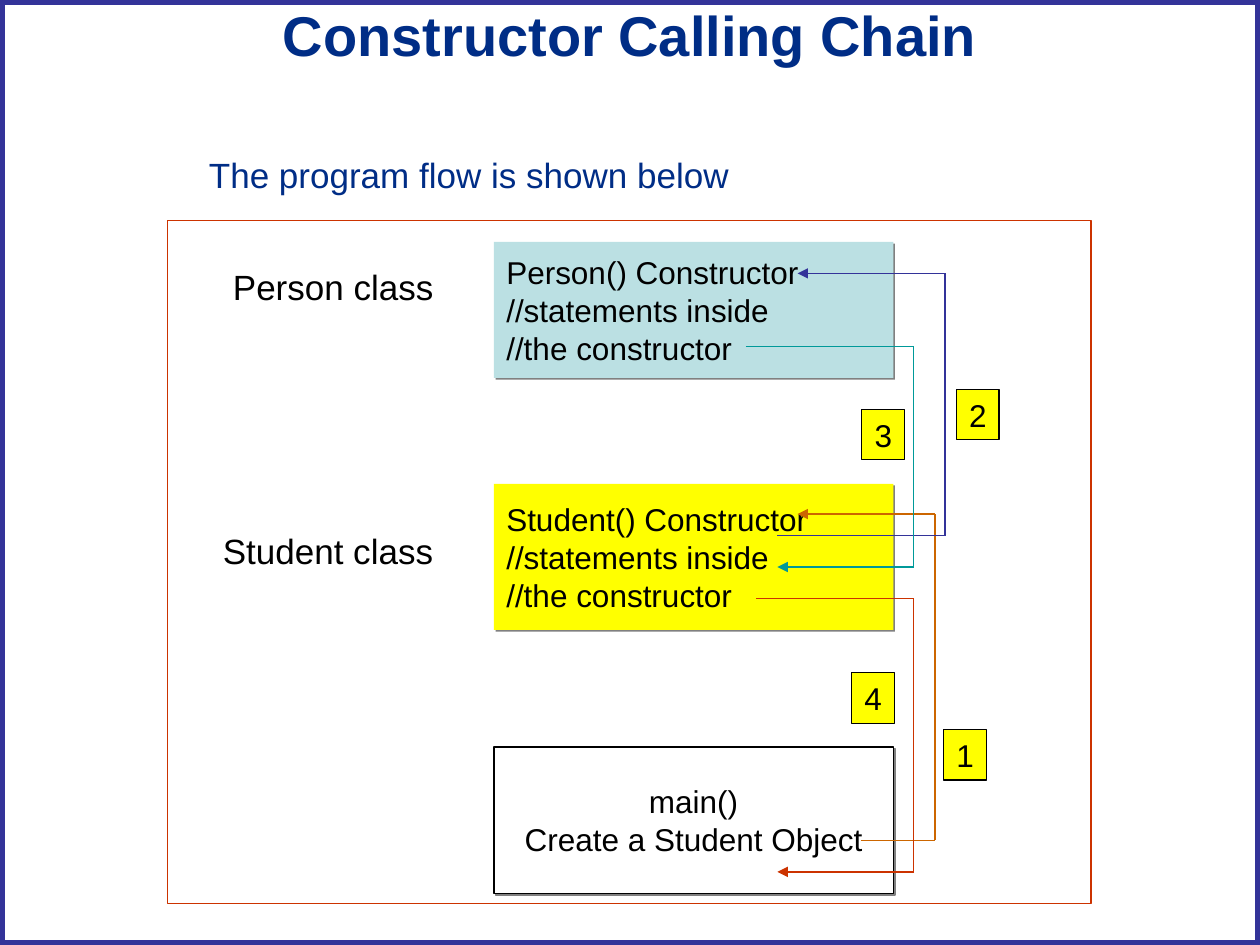
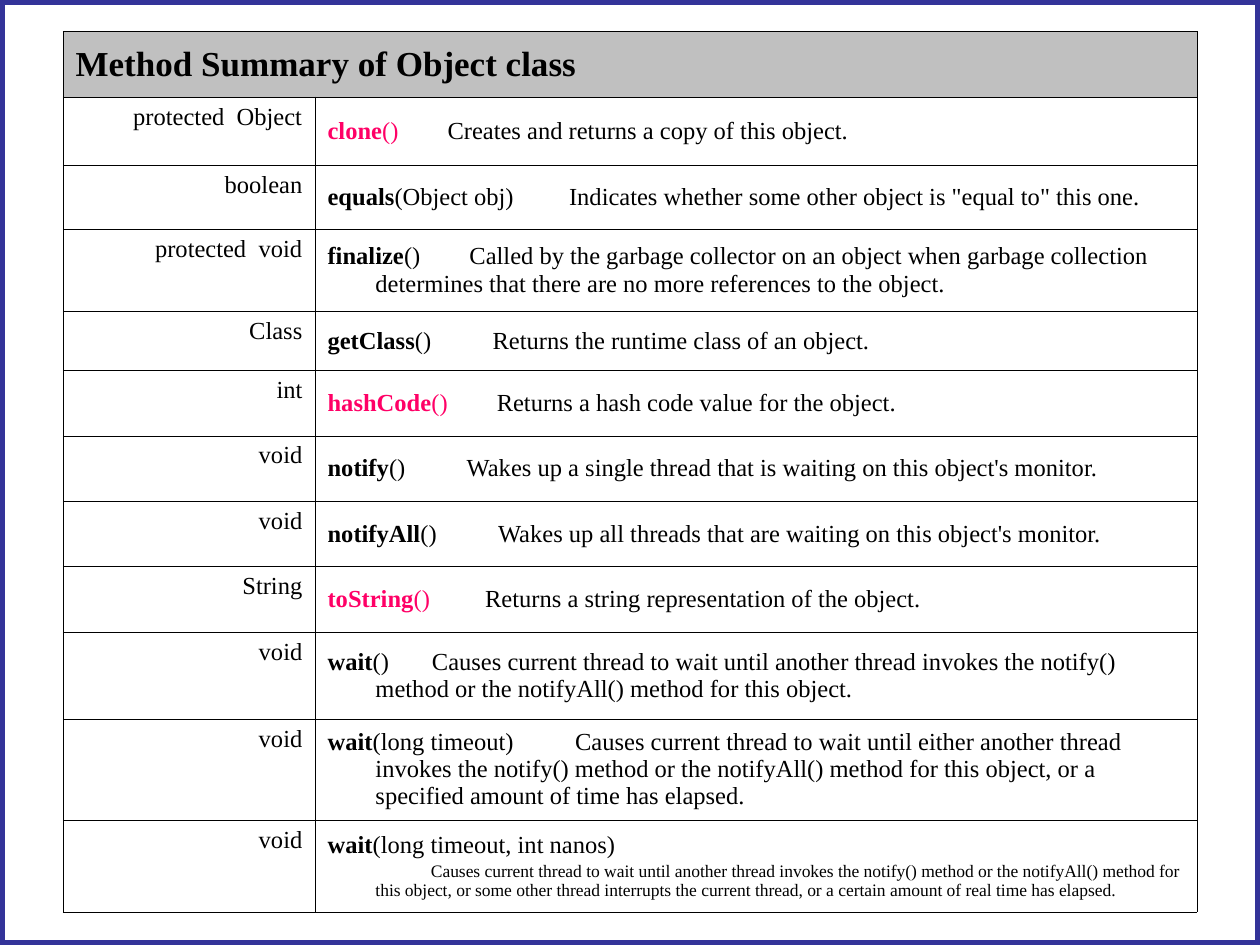
"""Builds two slides on the constructor calling chain and the Object methods."""
from lxml import etree
from pptx import Presentation
from pptx import util as u
from pptx.dml.color import RGBColor
from pptx.enum import shapes, text
from pptx.oxml import ns

Inches, Pt = u.Inches, u.Pt
COLORS = {"navy": "002D86", "frame": "333399", "white": "FFFFFF", "black": "000000",
          "red": "CC3300", "orange": "CC6600", "teal": "009999", "blue": "BBE0E3",
          "yellow": "FFFF00", "gray": "808080", "header": "C0C0C0", "pink": "FF0066"}
SANS, SERIF = "Arial", "Times New Roman"
LEFT, CENTER, RIGHT = text.PP_ALIGN.LEFT, text.PP_ALIGN.CENTER, text.PP_ALIGN.RIGHT
TOP, MIDDLE = text.MSO_ANCHOR.TOP, text.MSO_ANCHOR.MIDDLE

TITLE = "Constructor Calling Chain"
INTRO = "The program flow is shown below"
BODY = "//statements inside\n//the constructor"
BLOCKS = [(1.92, 1.08, "blue", None, LEFT, f"Person() Constructor\n{BODY}"),
          (3.84, 1.16, "yellow", None, LEFT, f"Student() Constructor\n{BODY}"),
          (5.93, 1.16, "white", "black", CENTER, "main()\nCreate a Student Object")]
LABELS = [(1.75, 2.06, 1.79, "Person class"), (1.67, 4.15, 1.87, "Student class")]
# start, turning x, end, colour
CALLS = [((6.83, 6.67), 7.42, (6.33, 4.08), "orange"),
         ((6.17, 4.25), 7.5, (6.33, 2.17), "frame"),
         ((5.92, 2.75), 7.25, (6.17, 4.5), "teal"),
         ((6, 4.75), 7.25, (6.17, 6.92), "red")]
STEPS = [(7.49, 5.79), (7.59, 3.09), (6.84, 3.25), (6.76, 5.34)]

HEADER = (0.52, "Method Summary of Object class")
SPACE = 3.5
# row height, return type, name, arguments, gap in points, description
METHODS = [
    (0.54, "protected  Object", "clone", "()", 28, "Creates and returns a copy of this object."),
    (0.51, "boolean", "equals", "(Object obj)", 31.5,
     "Indicates whether some other object is \"equal to\" this one."),
    (0.65, "protected  void", "finalize", "()", 28,
     "Called by the garbage collector on an object when garbage collection "
     "determines that there are no more references to the object."),
    (0.47, "Class", "getClass", "()", 35, "Returns the runtime class of an object."),
    (0.52, "int", "hashCode", "()", 28, "Returns a hash code value for the object."),
    (0.52, "void", "notify", "()", 35,
     "Wakes up a single thread that is waiting on this object's monitor."),
    (0.52, "void", "notifyAll", "()", 35,
     "Wakes up all threads that are waiting on this object's monitor."),
    (0.52, "String", "toString", "()", 31.5,
     "Returns a string representation of the object."),
    (0.69, "void", "wait", "()", 24.5,
     "Causes current thread to wait until another thread invokes the notify() "
     "method or the notifyAll() method for this object."),
    (0.8, "void", "wait", "(long timeout)", 35,
     "Causes current thread to wait until either another thread invokes the notify() method "
     "or the notifyAll() method for this object, or a specified amount of time has elapsed."),
    (0.73, "void", "wait", "(long timeout, int nanos)", None,
     "Causes current thread to wait until another thread invokes the notify() method or the "
     "notifyAll() method for this object, or some other thread interrupts the current thread, "
     "or a certain amount of real time has elapsed.")]
HIGHLIGHTED = {"clone", "hashCode", "toString"}


def rgb(name):
    return RGBColor.from_string(COLORS[name])


def sub(parent, tag, **attrs):
    return etree.SubElement(parent, ns.qn(tag), {k: str(v) for k, v in attrs.items()})


def style(r, size, color="black", font=SANS, bold=False):
    r.font.size, r.font.name, r.font.bold = Pt(size), font, bold
    r.font.color.rgb = rgb(color)


def write(sp, content, size, color="black", align=LEFT, anchor=TOP, wrap=False, bold=False):
    tf = sp.text_frame
    tf.text = content
    tf.word_wrap, tf.vertical_anchor = wrap, anchor
    tf.auto_size = text.MSO_AUTO_SIZE.NONE
    for p in tf.paragraphs:
        p.alignment = align
        for r in p.runs:
            style(r, size, color, bold=bold)


def add_box(parent, x, y, w, h, fill=None, line=None, width=0.75):
    sp = parent.shapes.add_shape(shapes.MSO_SHAPE.RECTANGLE, *map(Inches, (x, y, w, h)))
    sp.shadow.inherit = False
    if fill:
        sp.fill.solid()
        sp.fill.fore_color.rgb = rgb(fill)
    else:
        sp.fill.background()
    if line:
        sp.line.color.rgb = rgb(line)
        sp.line.width = Pt(width)
    else:
        sp.line.fill.background()
    return sp


def add_label(parent, x, y, w, content, color="black"):
    write(parent.shapes.add_textbox(*map(Inches, (x, y, w, 0.44))), content, 20, color)


def add_shadow(sp):
    effects = sp.element.spPr.find(ns.qn("a:effectLst"))
    shadow = sub(effects, "a:outerShdw", dist=Pt(1.4), dir=45 * 60000, algn="ctr", rotWithShape=0)
    sub(shadow, "a:srgbClr", val=COLORS["gray"])


def add_call(parent, start, turn, end, color):
    points = [start, (turn, start[1]), (turn, end[1]), end]
    for a, b in zip(points, points[1:]):
        c = parent.shapes.add_connector(shapes.MSO_CONNECTOR.STRAIGHT, *map(Inches, a + b))
        c.line.color.rgb = rgb(color)
        c.line.width = Pt(0.75)
        if b == end:
            sub(c.line._get_or_add_ln(), "a:tailEnd", type="triangle")
        sub(c.element.spPr, "a:effectLst")


def add_frame(prs, s):
    sp = add_box(s, 0, 0, 10, 7.5, line="frame", width=6)
    prs.slide_master.shapes.element.insert(2, sp.element)


def add_run(p, content, size=14, color="black", bold=False):
    r = p.add_run()
    r.text = content
    style(r, size, color, SERIF, bold)
    return r


def indent(p, first=-0.38):
    pPr = p._p.get_or_add_pPr()
    pPr.set("marL", str(Inches(0.38)))
    pPr.set("indent", str(Inches(first)))


def format_cell(cell, fill="white", anchor=MIDDLE, align=LEFT):
    tcPr = cell._tc.get_or_add_tcPr()
    for side in "LRTB":
        ln = sub(tcPr, f"a:ln{side}", w=Pt(0.34))
        sub(sub(ln, "a:solidFill"), "a:srgbClr", val=COLORS["black"])
    cell.fill.solid()
    cell.fill.fore_color.rgb = rgb(fill)
    cell.vertical_anchor = anchor
    p = cell.text_frame.paragraphs[0]
    p.alignment = align
    indent(p)
    return p


def describe(cell, name, args, gap, description):
    p = format_cell(cell)
    color = "pink" if name in HIGHLIGHTED else "black"
    add_run(p, name, color=color, bold=True)
    add_run(p, args, color=color)
    if gap:
        space = add_run(p, " ")
        space.font._element.set("spc", str(round((gap - SPACE) * 100)))
        add_run(p, description)
    else:
        p = cell.text_frame.add_paragraph()
        indent(p, 0.44)
        p.space_before = Pt(2)
        add_run(p, description, 10)


def build_chain(s):
    title = s.shapes.title
    title.left, title.top, title.width, title.height = map(Inches, (0.5, 0.05, 9, 0.44))
    write(title, TITLE, 32, "navy", CENTER, MIDDLE, True, True)
    g = s.shapes.add_group_shape()
    add_box(g, 1.33, 1.75, 7.33, 5.42, "white", "red")
    for y, h, fill, line, align, content in BLOCKS:
        sp = add_box(g, 3.92, y, 3.17, h, fill, line)
        add_shadow(sp)
        write(sp, content, 18, align=align, anchor=MIDDLE, wrap=True)
    for label in LABELS:
        add_label(g, *label)
    for call in CALLS:
        add_call(g, *call)
    for number, (x, y) in enumerate(STEPS, 1):
        write(add_box(g, x, y, 0.34, 0.4, "yellow", "black"), str(number), 18, align=CENTER)
    add_label(s, 1.56, 1.17, 4.33, INTRO, "navy")


def build_methods(s):
    heights = [HEADER[0]] + [m[0] for m in METHODS]
    box = map(Inches, (0.5, 0.25, 9, sum(heights)))
    table = s.shapes.add_table(len(heights), 2, *box).table
    table.first_row = table.horz_banding = False
    for col, w in zip(table.columns, (2, 7)):
        col.width = Inches(w)
    for row, h in zip(table.rows, heights):
        row.height = Inches(h)
    table.cell(0, 0).merge(table.cell(0, 1))
    add_run(format_cell(table.cell(0, 0), "header"), HEADER[1], 20, bold=True)
    format_cell(table.cell(0, 1), "header")
    for i, (_, kind, *method) in enumerate(METHODS, 1):
        add_run(format_cell(table.cell(i, 0), anchor=TOP, align=RIGHT), kind)
        describe(table.cell(i, 1), *method)


def main():
    prs = Presentation()
    prs.slide_width, prs.slide_height = Inches(10), Inches(7.5)
    chain = prs.slides.add_slide(prs.slide_layouts[5])
    add_frame(prs, chain)
    build_chain(chain)
    build_methods(prs.slides.add_slide(prs.slide_layouts[6]))
    prs.save("out.pptx")


if __name__ == "__main__":
    main()
